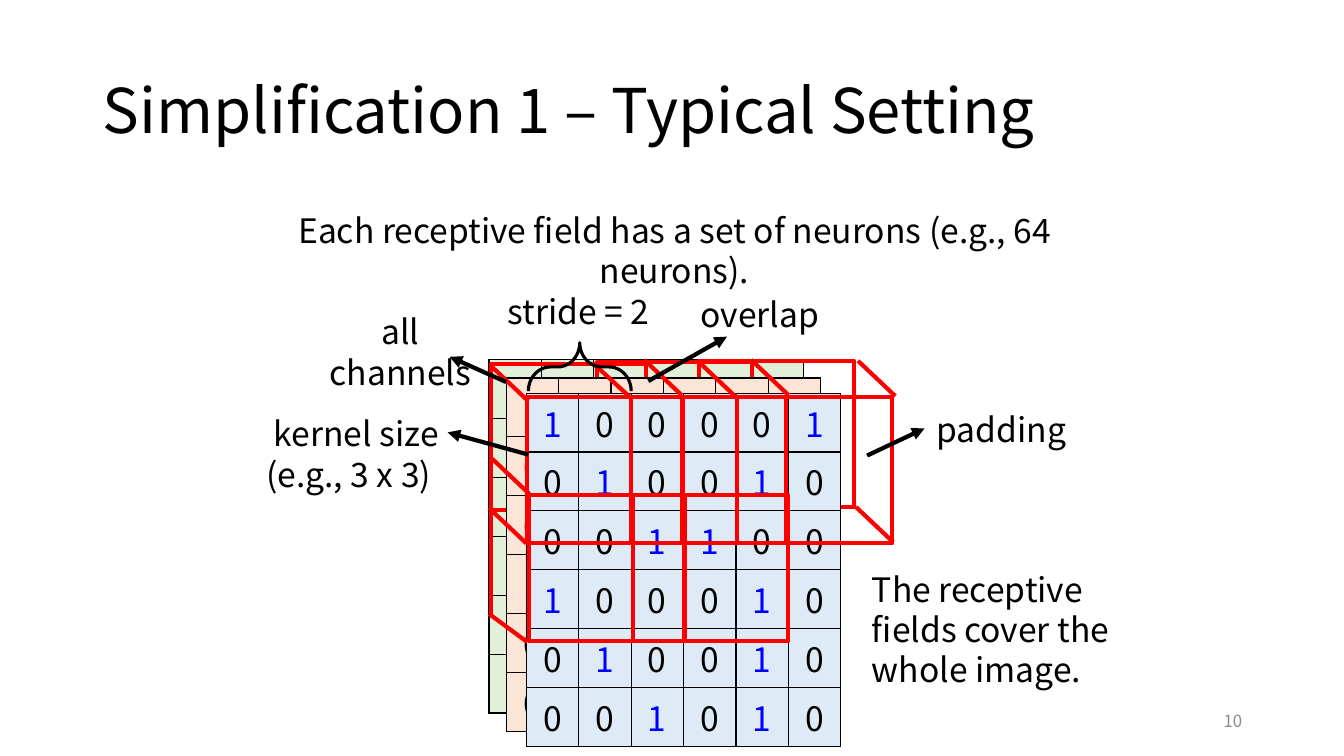
from dataclasses import dataclass

from lxml.etree import SubElement
from pptx import Presentation
from pptx.dml.color import RGBColor
from pptx.enum.shapes import MSO_CONNECTOR as Conn, MSO_SHAPE as Kind
from pptx.enum.text import MSO_ANCHOR as Anchor, PP_ALIGN as Align
from pptx.oxml.ns import qn
from pptx.util import Emu, Pt

FONT = "Noto Sans CJK SC"
RED, BLACK, BLUE, GRAY = "FF0000", "000000", "0000FF", "8C8C8C"
GRID = ("100001", "010010", "001100", "100010", "010010", "001010")
COL, ROW = 52, 41
FIELD_W, FIELD_H = 154, 145


@dataclass
class Layer:
    """One channel of the image."""
    x: int
    y: int
    fill: str


@dataclass
class Line:
    x1: int
    y1: int
    x2: int
    y2: int


@dataclass
class Label:
    text: str
    x: int
    y: int
    w: int
    h: int
    align: Align = Align.LEFT
    size: int = 24
    color: str = BLACK
    anchor: Anchor = Anchor.TOP


BACK = ((693, 358), (592, 359), (487, 361))
LAYERS = (Layer(485, 357, "E2F0D9"), Layer(502, 375, "FBE5D6"),
          Layer(522, 390, "DEEBF7"))
FRONT = ((523, 394), (626, 394), (525, 491), (731, 394), (628, 491))
EDGES = (
    Line(485, 504, 522, 539), Line(487, 363, 524, 398),
    Line(639, 357, 676, 392), Line(745, 357, 782, 392),
    Line(590, 362, 627, 396), Line(851, 358, 888, 393),
    Line(849, 503, 886, 538), Line(488, 455, 525, 490),
    Line(485, 609, 523, 637), Line(487, 451, 487, 609),
    Line(693, 359, 730, 394),
)
ARROWS = (
    Line(524, 451, 444, 429), Line(502, 379, 446, 354),
    Line(860, 452, 917, 425), Line(643, 378, 721, 334),
)
LABELS = (
    Label("all channels", 297, 304, 200, 50, Align.CENTER),
    Label("Each receptive field has a set of neurons (e.g., 64 neurons).",
          252, 203, 834, 91, Align.CENTER),
    Label("stride = 2", 474, 284, 200, 50, Align.CENTER),
    Label("kernel size (e.g., 3 x 3) ", 228, 405, 217, 91, Align.RIGHT),
    Label("padding", 919, 401, 164, 50),
    Label("10", 942, 695, 300, 40, Align.RIGHT, 12, GRAY, Anchor.MIDDLE),
    Label("The receptive fields cover the whole image.", 855, 559, 300, 131),
    Label("overlap", 685, 287, 164, 50),
)


def px(n: int) -> Emu:
    return Emu(n * 9144)


def rgb(code: str) -> RGBColor:
    return RGBColor.from_string(code)


def style(para, size: int, color: str, align: Align) -> None:
    para.alignment = align
    font = para.font
    font.name, font.size = FONT, Pt(size)
    font.color.rgb = rgb(color)


def border(cell) -> None:
    props = cell._tc.get_or_add_tcPr()
    for n, side in enumerate(("lnL", "lnR", "lnT", "lnB")):
        line = props.makeelement(qn(f"a:{side}"), {"w": "12700"})
        fill = SubElement(line, qn("a:solidFill"))
        SubElement(fill, qn("a:srgbClr"), val=BLACK)
        props.insert(n, line)


def add_layer(shapes, layer: Layer) -> None:
    size = len(GRID)
    table = shapes.add_table(size, size, px(layer.x), px(layer.y),
                             px(COL * size), px(ROW * size)).table
    for col in table.columns:
        col.width = px(COL)
    for r, bits in enumerate(GRID):
        for c, bit in enumerate(bits):
            cell = table.cell(r, c)
            cell.text = bit
            cell.fill.solid()
            cell.fill.fore_color.rgb = rgb(layer.fill)
            border(cell)
            style(cell.text_frame.paragraphs[0], 24,
                  BLUE if bit == "1" else BLACK, Align.CENTER)


def add_outline(shapes, kind: Kind, x: int, y: int, w: int, h: int,
                color: str, width: float):
    shape = shapes.add_shape(kind, px(x), px(y), px(w), px(h))
    shape.shadow.inherit = False
    shape.fill.background()
    shape.line.color.rgb = rgb(color)
    shape.line.width = Pt(width)
    return shape


def add_field(shapes, x: int, y: int) -> None:
    add_outline(shapes, Kind.RECTANGLE, x, y, FIELD_W, FIELD_H, RED, 3)


def add_line(shapes, line: Line, color: str, arrow: bool = False) -> None:
    conn = shapes.add_connector(Conn.STRAIGHT, px(line.x1), px(line.y1),
                                px(line.x2), px(line.y2))
    conn.line.color.rgb = rgb(color)
    conn.line.width = Pt(3)
    props = conn._element.spPr
    if arrow:
        SubElement(props.find(qn("a:ln")), qn("a:tailEnd"), type="triangle")
    SubElement(props, qn("a:effectLst"))


def add_label(shapes, label: Label) -> None:
    frame = shapes.add_textbox(px(label.x), px(label.y),
                               px(label.w), px(label.h)).text_frame
    frame.word_wrap = True
    frame.vertical_anchor = label.anchor
    frame.text = label.text
    style(frame.paragraphs[0], label.size, label.color, label.align)


def set_title(title) -> None:
    title.left, title.top = px(92), px(40)
    title.width, title.height = px(1150), px(145)
    frame = title.text_frame
    frame.text = "Simplification 1 – Typical Setting"
    frame.vertical_anchor = Anchor.MIDDLE
    para = frame.paragraphs[0]
    para.line_spacing = 0.9
    style(para, 44, BLACK, Align.LEFT)


def main() -> None:
    deck = Presentation()
    deck.slide_width, deck.slide_height = px(1333), px(750)
    shapes = deck.slides.add_slide(deck.slide_layouts[5]).shapes
    set_title(shapes.title)
    rear, *near = LAYERS
    add_layer(shapes, rear)
    for x, y in BACK:
        add_field(shapes, x, y)
    for layer in near:
        add_layer(shapes, layer)
    for x, y in FRONT:
        add_field(shapes, x, y)
    for edge in EDGES:
        add_line(shapes, edge, RED)
    brace = add_outline(shapes, Kind.RIGHT_BRACE, 551, 313, 48, 102,
                        BLACK, 2.25)
    brace.rotation = 270
    brace.adjustments[0] = 0.456
    for arrow in ARROWS:
        add_line(shapes, arrow, BLACK, True)
    for label in LABELS:
        add_label(shapes, label)
    deck.save("out.pptx")


if __name__ == "__main__":
    main()
